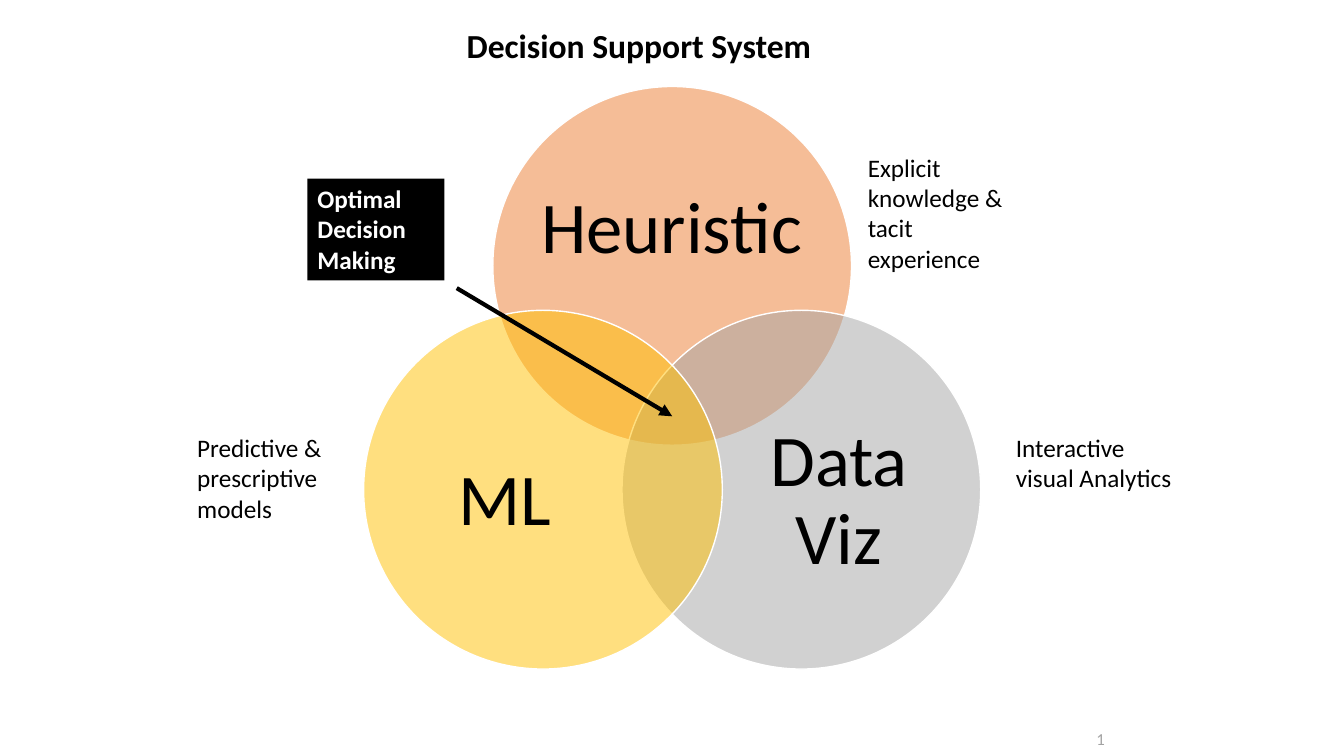
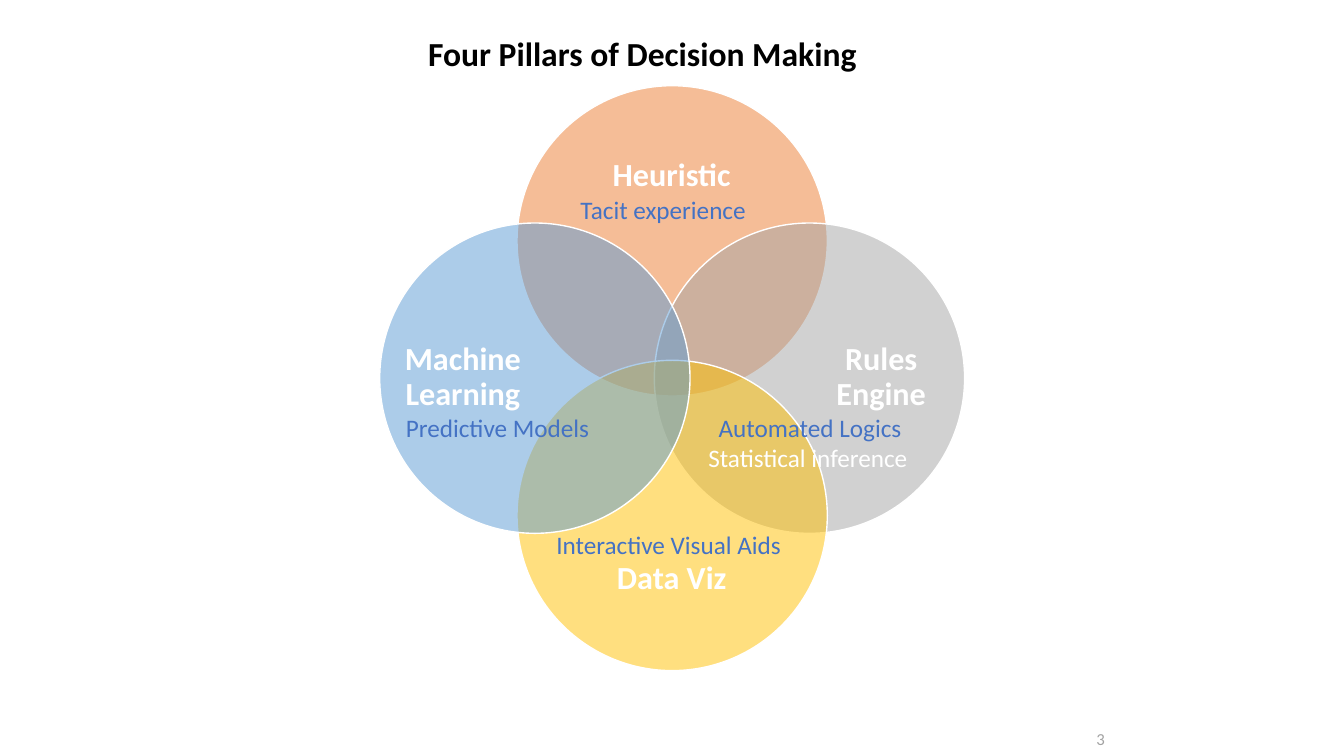
"""Two Venn slides on decision support."""
import math
from dataclasses import dataclass

from lxml import etree
from pptx import Presentation
from pptx import util as u
from pptx.dml import color as c
from pptx.enum import shapes, text
from pptx.oxml import ns


@dataclass(frozen=True)
class Theme:
    """Colours, font and type sizes shared by the slides."""
    font: str = "Calibri"
    black: str = "000000"
    white: str = "FFFFFF"
    orange: str = "ED7D31"
    gray: str = "A5A5A5"
    gold: str = "FFC000"
    sky: str = "5B9BD5"
    blue: str = "4472C4"
    pale: str = "8C8C8C"
    title: int = 24
    note: int = 18
    foot: int = 12
    large: int = 52
    small: int = 23


def rgb(code):
    """Turn a hex code into a colour."""
    return c.RGBColor.from_string(code)


def fade(node, share):
    """Set the opacity of the first solid fill in a node, in percent."""
    tint = node.find(".//" + ns.qn("a:solidFill"))[0]
    etree.SubElement(tint, ns.qn("a:alpha"), val=str(share * 1000))


class Deck:
    """Holds the theme and the current slide."""

    def __init__(self, theme):
        """Start a wide deck."""
        self.theme = theme
        self.show = Presentation()
        self.show.slide_width, self.show.slide_height = u.Cm(33.87), u.Cm(19.05)
        self.slide = None

    def page(self, title, left, top, number):
        """Add a slide with its title and number."""
        theme = self.theme
        self.slide = self.show.slides.add_slide(self.show.slide_layouts[6])
        foot = self.label(number, (23.93, 18.11, 7.62, 1.02), theme.foot,
                          theme.pale, mid=True)
        fade(foot._r, 80)
        self.label(title, (left, top, 13.2, 1.27), theme.title, theme.black,
                   bold=True)

    def words(self, frame, words, size, color, bold=False, mid=False, tight=False):
        """Put one styled paragraph in a text frame and return its run."""
        line = frame.paragraphs[0]
        run = line.add_run()
        run.text = words
        run.font.color.rgb = rgb(color)
        anchor, align = text.MSO_ANCHOR, text.PP_ALIGN
        styles = [
            (frame, {"word_wrap": True,
                     "vertical_anchor": anchor.MIDDLE if mid else anchor.TOP}),
            (line, {"alignment": align.CENTER if mid else align.LEFT}),
            (run.font, {"name": self.theme.font, "size": u.Pt(size), "bold": bold}),
        ]
        if tight:
            sides = ("left", "top", "right", "bottom")
            styles.append((frame, {"margin_" + side: 0 for side in sides}))
            styles.append((line, {"line_spacing": 0.9}))
        for item, style in styles:
            for key, value in style.items():
                setattr(item, key, value)
        return run

    def label(self, words, box, size, color, **style):
        """Add a text box and return its run."""
        shape = self.slide.shapes.add_textbox(*map(u.Cm, box))
        return self.words(shape.text_frame, words, size, color, **style)

    def shape(self, kind, box, color):
        """Add a flat preset shape without an outline."""
        shape = self.slide.shapes.add_shape(kind, *map(u.Cm, box))
        shape.shadow.inherit = False
        shape.fill.solid()
        shape.fill.fore_color.rgb = rgb(color)
        shape.line.fill.background()
        return shape

    def venn(self, hub, reach, span, parts, size, color, bold=False):
        """Set circles evenly round a hub, clockwise from the top."""
        for step, (words, tint, box) in enumerate(parts):
            turn = math.tau * step / len(parts)
            left = hub[0] + reach * math.sin(turn) - span / 2
            top = hub[1] - reach * math.cos(turn) - span / 2
            disc = self.shape(shapes.MSO_SHAPE.OVAL, (left, top, span, span), tint)
            fade(disc._element.spPr, 50)
            disc.line.color.rgb = rgb(self.theme.white)
            disc.line.width = u.Pt(1)
            self.label(words, box, size, color, bold=bold, mid=True, tight=True)

    def notes(self, color, items):
        """Add short remarks in one colour."""
        for words, *box in items:
            self.label(words, box, self.theme.note, color)

    def badge(self, words, box):
        """Add a black box with bold white text."""
        theme = self.theme
        shape = self.shape(shapes.MSO_SHAPE.RECTANGLE, box, theme.black)
        self.words(shape.text_frame, words, theme.note, theme.white, bold=True)

    def arrow(self, *ends):
        """Add a straight black arrow."""
        link = self.slide.shapes.add_connector(
            shapes.MSO_CONNECTOR.STRAIGHT, *map(u.Cm, ends))
        link.line.color.rgb = rgb(self.theme.black)
        link.line.width = u.Pt(3)
        frame = link._element.spPr
        etree.SubElement(frame.find(ns.qn("a:ln")), ns.qn("a:tailEnd"),
                         type="triangle")
        etree.SubElement(frame, ns.qn("a:effectLst"))


def system(deck):
    """Draw the three-part support system."""
    theme = deck.theme
    deck.page("Decision Support System", 11.51, 0.5, "1")
    deck.venn((16.94, 10.46), 3.76, 9.04, [
        ("Heuristic", theme.orange, (13.61, 3.76, 6.63, 4.06)),
        ("Data Viz", theme.gray, (18.44, 10.16, 5.41, 4.98)),
        ("ML", theme.gold, (10.01, 10.16, 5.41, 4.98)),
    ], theme.large, theme.black)
    deck.notes(theme.black, [
        ("Interactive visual Analytics", 25.35, 10.77, 4.75, 2.57),
        ("Explicit knowledge & tacit experience", 21.62, 3.71, 4.11, 3.33),
        ("Predictive & prescriptive models", 4.72, 10.77, 4.75, 2.57),
    ])
    deck.arrow(11.51, 7.26, 16.94, 10.49)
    deck.badge("Optimal Decision Making", (7.75, 4.5, 3.45, 2.57))


def pillars(deck):
    """Draw the four pillars."""
    theme = deck.theme
    deck.page("Four Pillars of Decision Making", 10.54, 0.71, "3")
    deck.venn((16.94, 9.53), 3.46, 7.82, [
        ("Heuristic", theme.orange, (13.92, 3.2, 6.02, 2.49)),
        ("Rules Engine", theme.gray, (20.7, 6.5, 3.02, 6.02)),
        ("Data Viz", theme.gold, (13.92, 13.36, 6.02, 2.49)),
        ("Machine Learning", theme.sky, (10.16, 6.5, 3.02, 6.02)),
    ], theme.small, theme.white, bold=True)
    deck.notes(theme.blue, [
        ("Interactive Visual Aids", 13.77, 13.21, 7.39, 1.02),
        ("Tacit experience", 14.38, 4.78, 5.11, 1.02),
        ("Predictive Models", 9.98, 10.26, 6.05, 1.02),
        ("Automated Logics", 17.86, 10.26, 6.3, 1.02),
    ])
    deck.notes(theme.white, [
        ("Statistical inference", 17.6, 11.02, 6.83, 1.02),
    ])


deck = Deck(Theme())
system(deck)
pillars(deck)
deck.show.save("out.pptx")
